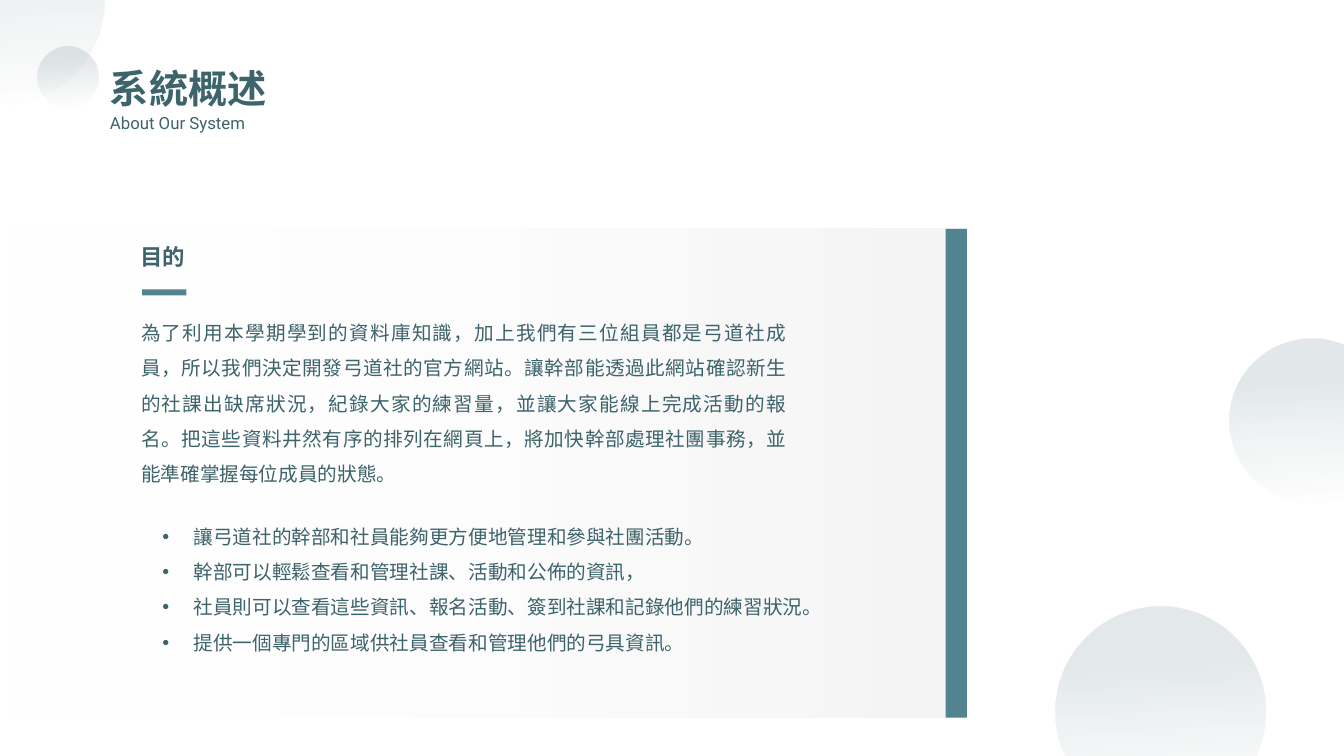
from lxml.etree import SubElement
from pptx import Presentation
from pptx.dml.color import RGBColor
from pptx.enum.shapes import MSO_SHAPE
from pptx.enum.text import MSO_AUTO_SIZE, PP_ALIGN
from pptx.oxml.ns import qn
from pptx.util import Inches, Pt

INK = RGBColor(0x3D, 0x63, 0x6B)
TEAL = RGBColor(0x51, 0x84, 0x8E)
WHITE = RGBColor(0xFF, 0xFF, 0xFF)
GRAY = RGBColor(0xF2, 0xF2, 0xF2)
HAN = "Noto Sans CJK SC"
LATIN = "Roboto"

GOAL = (
    "為了利用本學期學到的資料庫知識，加上我們有三位組員都是弓道社成員，"
    "所以我們決定開發弓道社的官方網站。讓幹部能透過此網站確認新生的社課出缺席狀況，"
    "紀錄大家的練習量，並讓大家能線上完成活動的報名。"
    "把這些資料井然有序的排列在網頁上，將加快幹部處理社團事務，並能準確掌握每位成員的狀態。"
)
POINTS = [
    "讓弓道社的幹部和社員能夠更方便地管理和參與社團活動。",
    "幹部可以輕鬆查看和管理社課、活動和公佈的資訊，",
    "社員則可以查看這些資訊、報名活動、簽到社課和記錄他們的練習狀況。",
    "提供一個專門的區域供社員查看和管理他們的弓具資訊。",
]


class Page:
    def __init__(self, deck):
        self.slide = deck.slides.add_slide(deck.slide_layouts[6])
        self.slide.background.fill.solid()
        self.slide.background.fill.fore_color.rgb = WHITE

    def shape(self, kind, *box):
        item = self.slide.shapes.add_shape(kind, *map(Inches, box))
        item.shadow.inherit = False
        item.line.fill.background()
        return item

    def block(self, *box):
        item = self.shape(MSO_SHAPE.RECTANGLE, *box)
        item.fill.solid()
        item.fill.fore_color.rgb = TEAL

    def fade(self, item, angle, stops):
        """Each stop is place, colour and opacity, both shares in percent."""
        fill = item.fill
        fill.gradient()
        fill.gradient_angle = -angle % 360
        for stop, (place, color, alpha) in zip(fill.gradient_stops, stops):
            stop.position = place / 100
            stop.color.rgb = color
        tints = item._element.spPr.iter(qn("a:srgbClr"))
        for tint, (place, color, alpha) in zip(tints, stops):
            SubElement(tint, qn("a:alpha"), val=str(alpha * 1000))

    def panel(self, *box):
        item = self.shape(MSO_SHAPE.RECTANGLE, *box)
        self.fade(item, 0, [(0, WHITE, 0), (100, GRAY, 80)])

    def disc(self, left, top, size):
        item = self.shape(MSO_SHAPE.OVAL, left, top, size, size)
        self.fade(item, 86, [(28, INK, 14), (100, WHITE, 11)])

    def text(self, box, lines, size, face=HAN, bold=False, wrap=True,
             space=None, align=None, bullet=False):
        frame = self.slide.shapes.add_textbox(*map(Inches, box)).text_frame
        frame.word_wrap = wrap
        frame.auto_size = MSO_AUTO_SIZE.SHAPE_TO_FIT_TEXT
        frame.margin_left = frame.margin_right = Inches(0.05)
        frame.margin_top = frame.margin_bottom = Inches(0.05)
        frame.text = "\n".join(lines)
        for para in frame.paragraphs:
            # Keep punctuation inside the right margin
            para._p.get_or_add_pPr().set("hangingPunct", "0")
            if bullet:
                self.bullet(para)
            if space:
                para.line_spacing = space
            if align is not None:
                para.alignment = align
            for run in para.runs:
                font = run.font
                font.size, font.bold, font.name = Pt(size), bold, face
                font.color.rgb = INK
                SubElement(run._r.get_or_add_rPr(), qn("a:ea"), typeface=face)

    def bullet(self, para):
        props = para._p.get_or_add_pPr()
        props.set("marL", str(Inches(0.31)))
        props.set("indent", str(Inches(-0.31)))
        SubElement(props, qn("a:buFont"), typeface="Arial")
        SubElement(props, qn("a:buChar"), char="•")


def main():
    deck = Presentation()
    deck.slide_width, deck.slide_height = Inches(13.33), Inches(7.5)
    page = Page(deck)

    # Panel with its side bar
    page.panel(0, 2.27, 9.59, 4.85)
    page.block(9.38, 2.27, 0.21, 4.85)

    # Soft discs in the corners
    for disc in [(-1.04, -1.04, 2.08), (0.37, 0.46, 0.61),
                 (10.47, 6.02, 2.08), (12.2, 3.36, 1.63)]:
        page.disc(*disc)

    # Title
    page.text((1.04, 0.59, 3.09, 0.66), ["系統概述"], 28, bold=True)
    page.text((1.04, 1.07, 1.45, 0.27), ["About Our System"], 12, LATIN, wrap=False)

    # Purpose
    page.text((1.34, 2.36, 0.56, 0.41), ["目的"], 16, bold=True, wrap=False)
    page.block(1.41, 2.87, 0.44, 0.06)
    page.text((1.35, 3.02, 6.5, 2.04), [GOAL], 14, space=1.5,
              align=PP_ALIGN.JUSTIFY)
    page.text((1.56, 5.04, 7.33, 1.63), POINTS, 14, space=1.5, bullet=True)

    deck.save("out.pptx")


if __name__ == "__main__":
    main()
